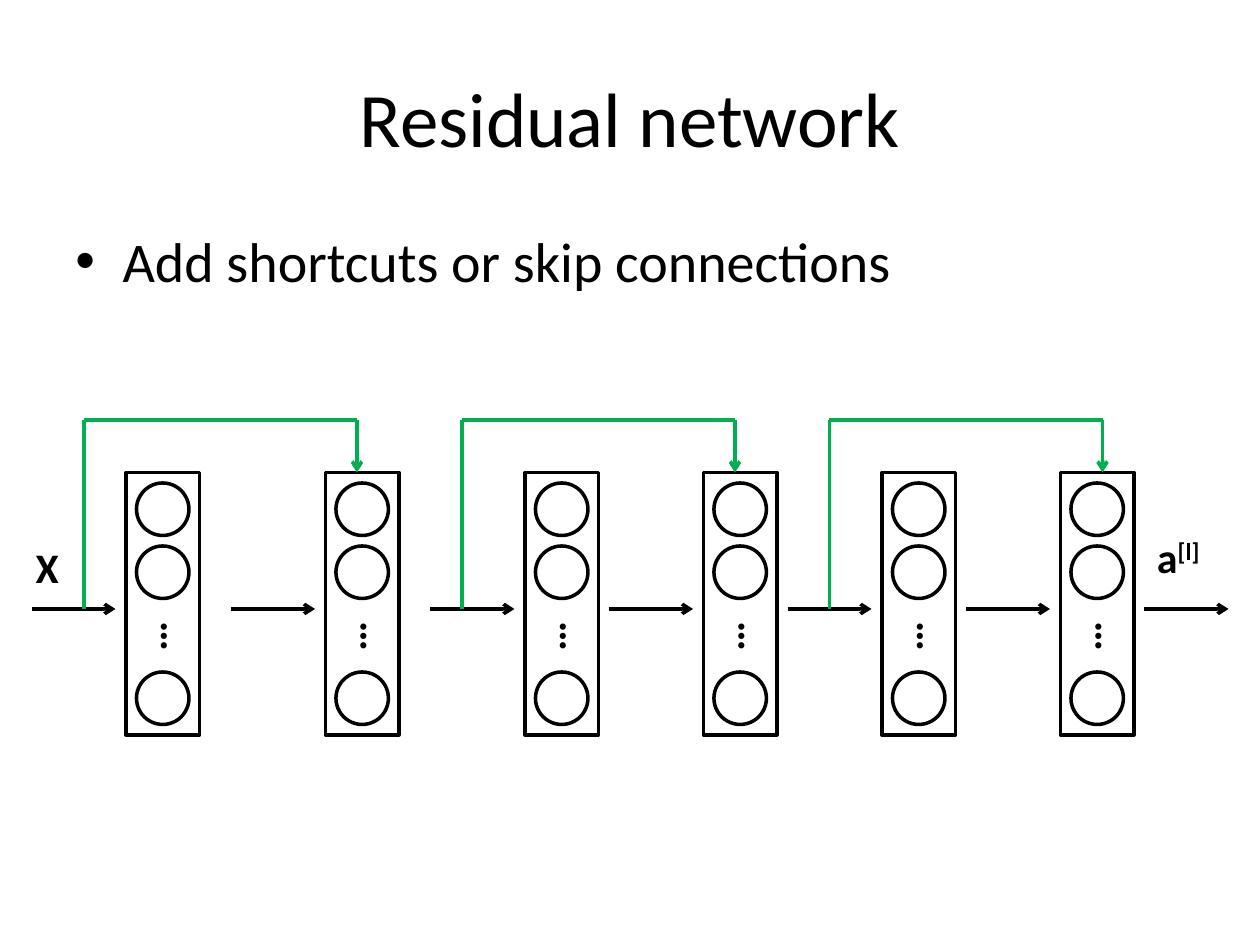
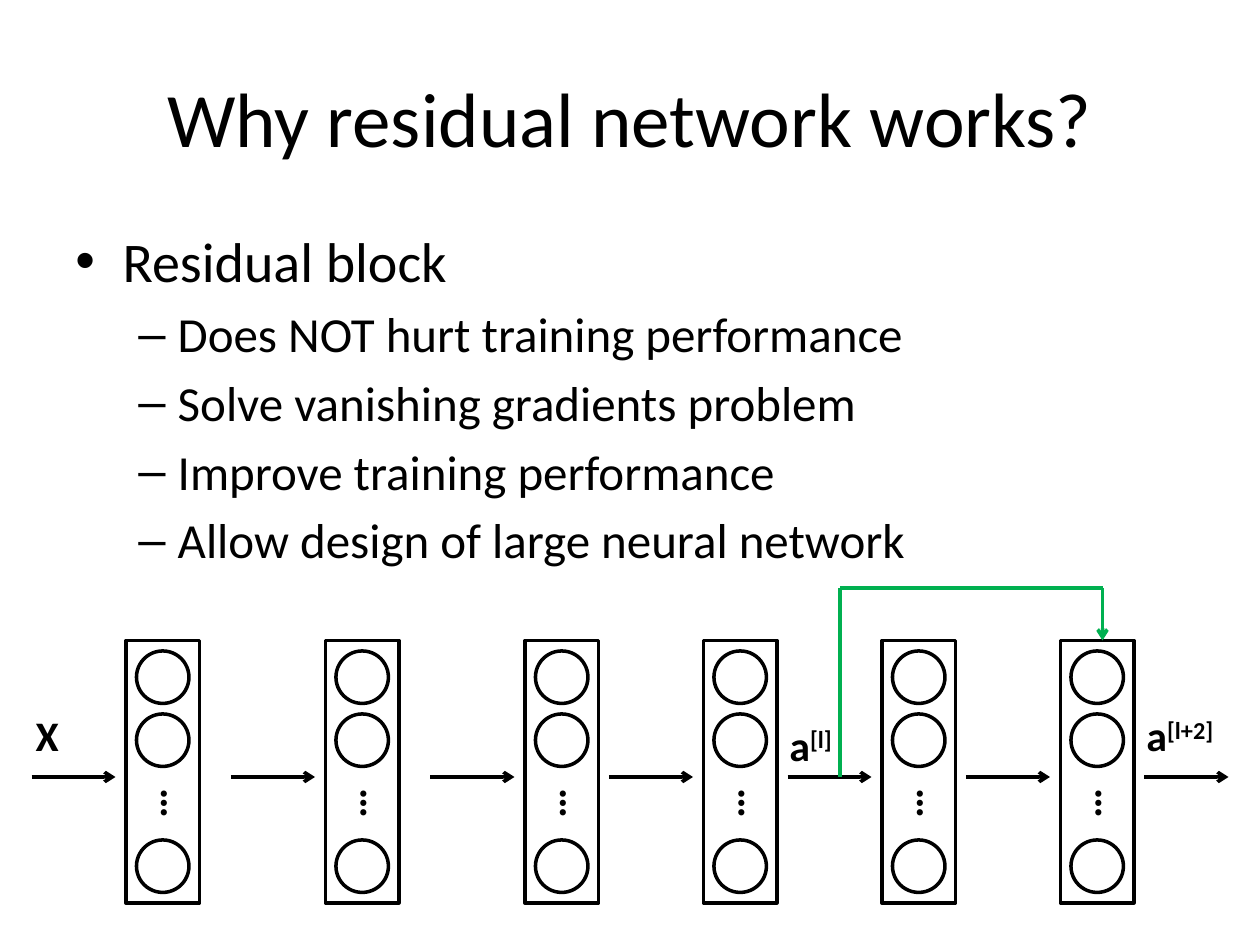
from lxml import etree
from pptx import Presentation
from pptx.dml.color import RGBColor
from pptx.enum import shapes, text
from pptx.oxml import ns
from pptx.util import Pt

# Content: body lines are (level, text); labels are
# (base, superscript, left, offset below layer top, width)
SLIDES = [
    {
        "title": "Residual network",
        "body": [(0, "Add shortcuts or skip connections")],
        "network_top": 270,
        "skips": [(48, 204), (264, 420), (474, 630)],
        "labels": [("X", "", 12, 36, 30), ("a", "[l]", 654, 30, 54)],
    },
    {
        "title": "Why residual network works?",
        "body": [
            (0, "Residual block"),
            (1, "Does NOT hurt training performance"),
            (1, "Solve vanishing gradients problem"),
            (1, "Improve training performance"),
            (1, "Allow design of large neural network"),
        ],
        "network_top": 366,
        "skips": [(480, 630)],
        "labels": [("X", "", 12, 36, 30), ("a", "[l+2]", 648, 36, 66),
                   ("a", "[l]", 444, 41.5, 54)],
    },
]

# Shared style
COLORS = {"ink": "000000", "skip": "00B050"}
FONT = "Calibri"
LINE_WIDTH = 2
# Per level: bullet, size, left margin, hanging indent
LEVELS = [("•", 32, 27, 27), ("–", 28, 58.5, 22.5)]

# Network geometry
LAYER_LEFTS = [72, 186, 300, 402, 504, 606]
LAYER_WIDTH, LAYER_HEIGHT = 42, 150
NEURON_SIZE, NEURON_INSET = 30, 6
NEURON_OFFSETS = [6, 42, 114]
FLOW_OFFSET, FLOW_LENGTH, FLOW_GAP = 78, 48, 6
SKIP_RISE = 30


def color(name):
    return RGBColor.from_string(COLORS[name])


def add_box(page, left, top, width, height):
    box = page.shapes.add_textbox(Pt(left), Pt(top), Pt(width), Pt(height))
    box.text_frame.word_wrap = True
    return box


def add_span(para, words, size, bold=False, raised=False):
    span = para.add_run()
    span.text = words
    span.font.name = FONT
    span.font.size = Pt(size)
    span.font.bold = bold
    span.font.color.rgb = color("ink")
    if raised:
        span._r.get_or_add_rPr().set("baseline", "30000")


def add_title(page, words):
    box = add_box(page, 36, 21.6, 648, 90)
    box.text_frame.vertical_anchor = text.MSO_ANCHOR.MIDDLE
    para = box.text_frame.paragraphs[0]
    para.alignment = text.PP_ALIGN.CENTER
    add_span(para, words, 44)


def add_body(page, lines):
    frame = add_box(page, 36, 126, 648, 356.4).text_frame
    for number, (level, words) in enumerate(lines):
        para = frame.add_paragraph() if number else frame.paragraphs[0]
        bullet, size, margin, hanging = LEVELS[level]
        para.level = level
        para.space_before = Pt(size * 0.2)
        props = para._p.get_or_add_pPr()
        props.set("marL", str(Pt(margin)))
        props.set("indent", str(-Pt(hanging)))
        etree.SubElement(props, ns.qn("a:buFont")).set("typeface", "Arial")
        etree.SubElement(props, ns.qn("a:buChar")).set("char", bullet)
        add_span(para, words, size)


def add_outline(page, kind, left, top, width, height):
    shape = page.shapes.add_shape(kind, Pt(left), Pt(top), Pt(width), Pt(height))
    shape.shadow.inherit = False
    shape.fill.background()
    shape.line.color.rgb = color("ink")
    shape.line.width = Pt(LINE_WIDTH)


def add_line(page, start, end, name, arrow=False):
    line = page.shapes.add_connector(
        shapes.MSO_CONNECTOR.STRAIGHT, *(Pt(value) for value in (*start, *end)))
    line.line.color.rgb = color(name)
    line.line.width = Pt(LINE_WIDTH)
    if arrow:
        stroke = line.line._get_or_add_ln()
        etree.SubElement(stroke, ns.qn("a:tailEnd")).set("type", "arrow")
    etree.SubElement(line._element.spPr, ns.qn("a:effectLst"))


def add_layer(page, left, top):
    add_outline(page, shapes.MSO_SHAPE.RECTANGLE, left, top,
                LAYER_WIDTH, LAYER_HEIGHT)
    for offset in NEURON_OFFSETS:
        add_outline(page, shapes.MSO_SHAPE.OVAL, left + NEURON_INSET,
                    top + offset, NEURON_SIZE, NEURON_SIZE)
    dots = add_box(page, left + 18.8, top + 70.6, 21.6, 36)
    dots.rotation = 90
    add_span(dots.text_frame.paragraphs[0], "…", 24, bold=True)


def add_skip(page, start, end, top):
    rail = top - SKIP_RISE
    add_line(page, (start, top + FLOW_OFFSET), (start, rail), "skip")
    add_line(page, (start, rail), (end, rail), "skip")
    add_line(page, (end, rail), (end, top), "skip", arrow=True)


def add_label(page, base, raised, left, top, width):
    para = add_box(page, left, top, width, 36).text_frame.paragraphs[0]
    add_span(para, base, 24, bold=True)
    if raised:
        add_span(para, raised, 24, bold=True, raised=True)
    else:
        para.alignment = text.PP_ALIGN.CENTER


def add_network(page, top, skips, labels):
    for left in LAYER_LEFTS:
        add_layer(page, left, top)
    # One flow arrow ahead of each layer, and one out of the last
    flow_starts = [left - FLOW_GAP - FLOW_LENGTH for left in LAYER_LEFTS]
    flow_starts.append(LAYER_LEFTS[-1] + LAYER_WIDTH + FLOW_GAP)
    level = top + FLOW_OFFSET
    for start in flow_starts:
        add_line(page, (start, level), (start + FLOW_LENGTH, level), "ink",
                 arrow=True)
    for start, end in skips:
        add_skip(page, start, end, top)
    for base, raised, left, offset, width in labels:
        add_label(page, base, raised, left, top + offset, width)


def main():
    deck = Presentation()
    deck.slide_width, deck.slide_height = Pt(720), Pt(540)
    for content in SLIDES:
        page = deck.slides.add_slide(deck.slide_layouts[6])
        add_title(page, content["title"])
        add_body(page, content["body"])
        add_network(page, content["network_top"], content["skips"],
                    content["labels"])
    deck.save("out.pptx")


if __name__ == "__main__":
    main()
